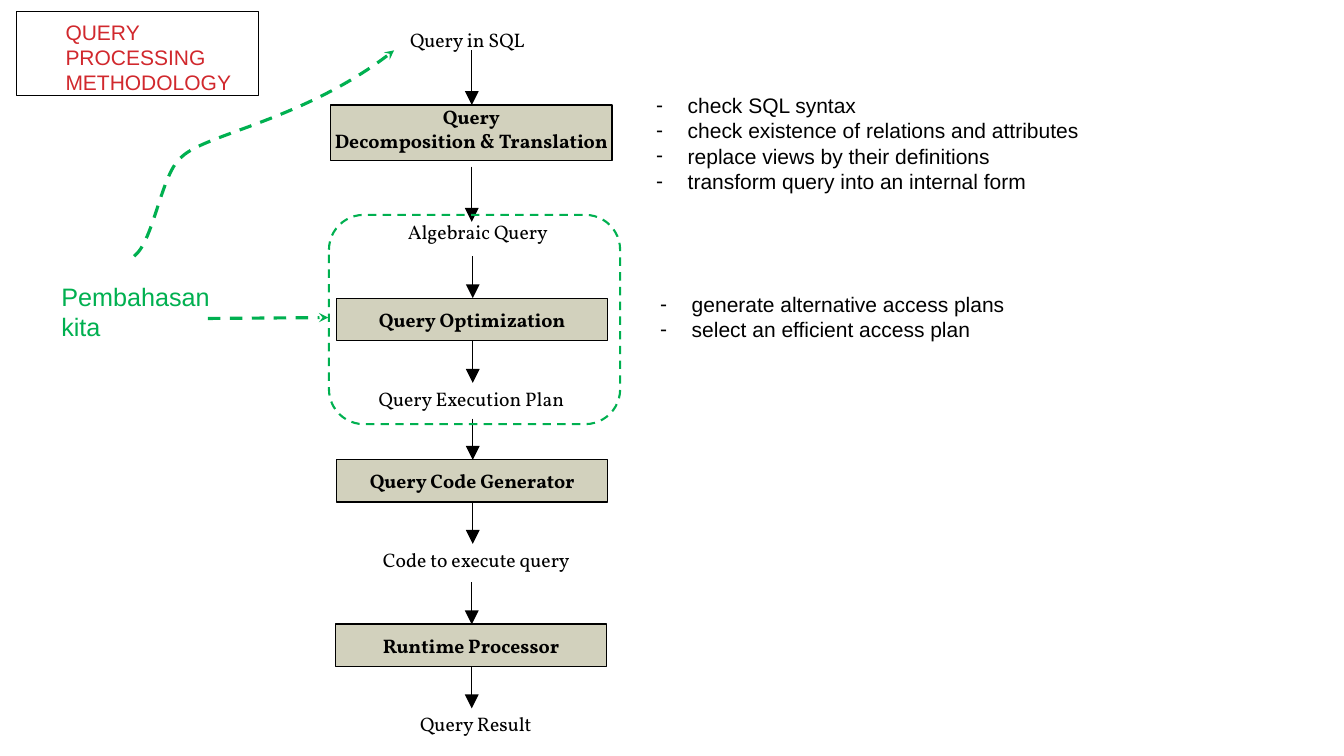
"""Build the query processing methodology flow slide."""
from lxml import etree
from pptx import Presentation
from pptx.dml.color import RGBColor
from pptx.enum.dml import MSO_LINE
from pptx.enum.shapes import MSO_CONNECTOR, MSO_SHAPE
from pptx.enum.text import MSO_ANCHOR, MSO_AUTO_SIZE, PP_ALIGN
from pptx.oxml.ns import qn
from pptx.util import Pt

DASH = MSO_LINE.DASH
STRAIGHT = MSO_CONNECTOR.STRAIGHT
RECT, ROUNDED = MSO_SHAPE.RECTANGLE, MSO_SHAPE.ROUNDED_RECTANGLE
TOP, MIDDLE = MSO_ANCHOR.TOP, MSO_ANCHOR.MIDDLE
NO_FIT = MSO_AUTO_SIZE.NONE
LEFT, CENTER = PP_ALIGN.LEFT, PP_ALIGN.CENTER

THEME = {
    "ink": RGBColor(0x00, 0x00, 0x00),
    "heading": RGBColor(0xD1, 0x28, 0x2D),
    "step": RGBColor(0xD2, 0xD1, 0xBD),
    "focus": RGBColor(0x00, 0xB0, 0x50),
    "flow_font": "Vollkorn",
    "note_font": "Arial",
    "flow_size": Pt(14),
    "note_size": Pt(15),
    "focus_size": Pt(18),
}


def write(shape, lines, role, color="ink", bold=False, align=LEFT,
          anchor=TOP, insets=(7.2, 3.6, 7.2, 3.6), bullet=None):
    """Fill a shape with one formatted run per line."""
    frame = shape.text_frame
    frame.word_wrap = True
    frame.auto_size = NO_FIT
    frame.vertical_anchor = anchor
    frame.margin_left, frame.margin_top, frame.margin_right, frame.margin_bottom = map(Pt, insets)
    for index, line in enumerate(lines):
        paragraph = frame.add_paragraph() if index else frame.paragraphs[0]
        paragraph.alignment = align
        paragraph.space_before = Pt(0)
        if bullet:
            properties = paragraph._p.get_or_add_pPr()
            properties.set("marL", str(Pt(22.5)))
            properties.set("indent", str(-Pt(22.5)))
            etree.SubElement(properties, qn("a:buChar"), char=bullet)
        run = paragraph.add_run()
        run.text = line
        font = run.font
        font.name = THEME["flow_font" if role == "flow" else "note_font"]
        font.size = THEME[f"{role}_size"]
        font.bold = bold
        font.color.rgb = THEME[color]


def stroke(shape, color, width, dash=None, head=None, head_size="med"):
    """Style an outline, optionally dashed and ending in an arrowhead."""
    shape.line.color.rgb = THEME[color]
    shape.line.width = Pt(width)
    if dash:
        shape.line.dash_style = dash
    if head:
        outline = shape.element.xpath(".//a:ln")[0]
        etree.SubElement(outline, qn("a:tailEnd"), type=head, w=head_size, len=head_size)
    if not shape.element.xpath("./p:spPr/a:effectLst"):
        etree.SubElement(shape.element.spPr, qn("a:effectLst"))


deck = Presentation()
deck.slide_width, deck.slide_height = Pt(960), Pt(540)
slide = deck.slides.add_slide(deck.slide_layouts[3])
shapes = slide.shapes
heading, syntax_notes, plan_notes = slide.placeholders

heading.left, heading.top, heading.width, heading.height = map(Pt, (11.5, 8.5, 173, 60))
write(heading, ["QUERY PROCESSING METHODOLOGY"], "note", "heading",
      anchor=MIDDLE, insets=(35.3, 5, 0, 0))
stroke(heading, "ink", 0.75)

for notes, box, lines in (
    (syntax_notes, (461.5, 62.6, 328, 80), [
        "check SQL syntax",
        "check existence of relations and attributes",
        "replace views by their definitions",
        "transform query into an internal form"]),
    (plan_notes, (464.4, 204.5, 330, 44), [
        "generate alternative access plans",
        "select an efficient access plan"]),
):
    notes.left, notes.top, notes.width, notes.height = map(Pt, box)
    write(notes, lines, "note", bullet="-")

for x, top, bottom in (
    (337, 36, 75), (337, 119, 158.5), (337.7, 183, 213), (337.7, 243.5, 273.5),
    (337.7, 299, 328.5), (337.7, 358.5, 388.5), (337, 416, 446), (337, 476, 506),
):
    flow_arrow = shapes.add_connector(STRAIGHT, Pt(x), Pt(top), Pt(x), Pt(bottom))
    stroke(flow_arrow, "ink", 1, head="triangle", head_size="lg")

for box, lines, anchor in (
    ((236.2, 75, 201, 39.6), ["Query", "Decomposition & Translation"], TOP),
    ((240.5, 213, 193.7, 30.2), ["Query Optimization"], MIDDLE),
    ((240.5, 328.4, 193.7, 30.2), ["Query Code Generator"], MIDDLE),
    ((239.6, 445.8, 193.7, 30.2), ["Runtime Processor"], MIDDLE),
):
    step = shapes.add_shape(RECT, *map(Pt, box))
    step.shadow.inherit = False
    step.fill.solid()
    step.fill.fore_color.rgb = THEME["step"]
    stroke(step, "ink", 0.96)
    write(step, lines, "flow", bold=True, align=CENTER, anchor=anchor, insets=(0, 0, 0, 0))

for left, top, width, state in (
    (285.8, 16, 101, "Query in SQL"),
    (284.2, 153.5, 117, "Algebraic Query"),
    (263.4, 272.5, 154, "Query Execution Plan"),
    (266.4, 387.5, 155, "Code to execute query"),
    (293, 505, 101.5, "Query Result"),
):
    state_label = shapes.add_textbox(Pt(left), Pt(top), Pt(width), Pt(24.5))
    write(state_label, [state], "flow", anchor=MIDDLE)

focus_area = shapes.add_shape(ROUNDED, Pt(235), Pt(153.5), Pt(208), Pt(149.5))
focus_area.shadow.inherit = False
focus_area.fill.background()
stroke(focus_area, "focus", 1.5, DASH)

focus_label = shapes.add_textbox(Pt(36.7), Pt(197.3), Pt(127.5), Pt(51))
write(focus_label, ["Pembahasan", "kita"], "focus", "focus")

focus_arrow = shapes.add_connector(STRAIGHT, Pt(148.5), Pt(227.5), Pt(234.5), Pt(226.8))
stroke(focus_arrow, "focus", 2.25, DASH, "stealth")

curve_builder = shapes.build_freeform(Pt(95.8), Pt(183))
curve_builder.add_line_segments(
    [(Pt(x), Pt(y)) for x, y in (
        (110.2, 172), (115.2, 122.4), (130.3, 111.6),
        (147.6, 95.8), (219.6, 85), (281.5, 36))],
    close=False)
focus_curve = curve_builder.convert_to_shape()
focus_curve.shadow.inherit = False
focus_curve.fill.background()
segments = focus_curve.element.xpath(".//a:lnTo")
for start in range(0, len(segments), 3):
    bend = etree.SubElement(segments[start].getparent(), qn("a:cubicBezTo"))
    for segment in segments[start:start + 3]:
        bend.append(segment[0])
        segment.getparent().remove(segment)
stroke(focus_curve, "focus", 2.25, DASH, "stealth")

deck.save("out.pptx")
